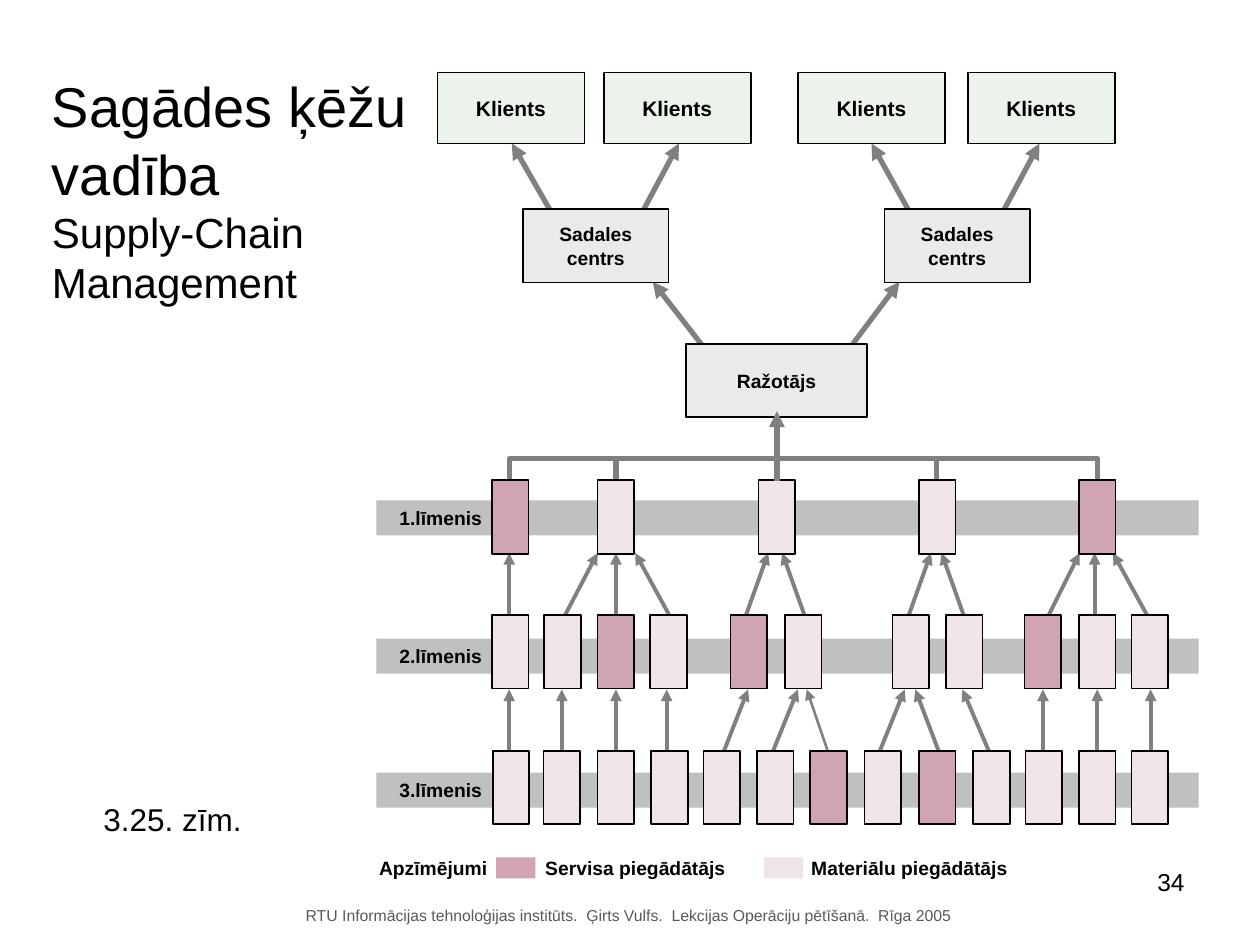
from lxml.etree import SubElement
from pptx import Presentation
from pptx.dml.color import RGBColor
from pptx.enum.shapes import MSO_CONNECTOR, MSO_SHAPE
from pptx.enum.text import MSO_ANCHOR, PP_ALIGN
from pptx.oxml.ns import qn
from pptx.util import Pt

COLORS = {
    "ink": "000000", "footer": "595959", "flow": "808080", "band": "C0C0C0",
    "client": "ECF3EA", "plant": "EAEAEA", "service": "D0A4B1", "material": "EFE4E7",
}
FRAME = {
    "word_wrap": True, "margin_left": Pt(7.2), "margin_right": Pt(7.2),
    "margin_top": Pt(3.6), "margin_bottom": Pt(3.6),
}
LABEL = {"name": "Arial", "size": Pt(11), "bold": True}
CLIENT = {**LABEL, "size": Pt(12)}
TITLE = {"name": "Arial", "size": Pt(32), "bold": False}
SUBTITLE = {**TITLE, "size": Pt(24)}
CAPTION = {**TITLE, "size": Pt(18)}
NUMBER = {**TITLE, "size": Pt(14)}
FOOTER = {**TITLE, "size": Pt(9)}

SUPPLIER_SIZE = (21, 42)
TIERS = [
    ("1.līmenis", 286, 274.5, [281, 341.5, 433.5, 525, 616.5], {0, 4}),
    ("2.līmenis", 365, 351.5,
     [281, 311, 341.5, 371.5, 417.5, 448.5, 510, 540.5, 585.5, 616.5, 646.5], {2, 4, 8}),
    ("3.līmenis", 441.5, 429,
     [281.5, 310.5, 341.5, 372, 402, 432.5, 463, 494, 525, 556, 586, 616.5, 646.5], {6, 8}),
]
SUPPLY_FLOWS = [
    (436, 394, [(291, 291), (321, 321), (352, 352), (381, 381), (411, 427.5), (439, 456),
                (500, 517), (539, 523), (568, 550), (596, 596), (627, 627), (657.5, 657.5)]),
    (358, 316, [(291, 291), (319.5, 341.5), (352, 352), (386, 363), (424, 439), (462, 447),
                (517, 532), (553, 538), (596, 617), (625.5, 625.5), (659, 636)]),
]
DELIVERY_FLOWS = [
    ((408, 206), (373, 161)), ((481, 205), (514, 161)),
    ((316, 123), (292.5, 82)), ((364.5, 126), (388, 82)),
    ((523, 127), (498, 82)), ((571, 125), (594, 82)),
]
LEGEND = [
    ("service", 283.5, "Servisa piegādātājs", 304.5),
    ("material", 436.5, "Materiālu piegādātājs", 456.5),
]


def rgb(color):
    """Return the named colour."""
    return RGBColor.from_string(COLORS[color])


def apply_format(target, values):
    """Set each format value on the target."""
    for key, value in values.items():
        setattr(target, key, value)


def write_lines(frame, lines, anchor=MSO_ANCHOR.MIDDLE, align=PP_ALIGN.LEFT, color="ink"):
    """Fill a text frame with one paragraph per (wording, font format) line."""
    apply_format(frame, {**FRAME, "vertical_anchor": anchor})
    for index, (wording, font_format) in enumerate(lines):
        paragraph = frame.add_paragraph() if index else frame.paragraphs[0]
        apply_format(paragraph, {"alignment": align, "space_before": Pt(0)})
        run = paragraph.add_run()
        run.text = wording
        apply_format(run.font, font_format)
        run.font.color.rgb = rgb(color)


def add_note(slide, place, wording, font_format, align=PP_ALIGN.LEFT, color="ink"):
    """Add a line of free-standing text."""
    note = slide.shapes.add_textbox(*map(Pt, place))
    write_lines(note.text_frame, [(wording, font_format)], MSO_ANCHOR.TOP, align, color)


def add_block(slide, place, color, outlined=True):
    """Add a filled rectangle."""
    block = slide.shapes.add_shape(MSO_SHAPE.RECTANGLE, *map(Pt, place))
    block.shadow.inherit = False
    block.fill.solid()
    block.fill.fore_color.rgb = rgb(color)
    if outlined:
        block.line.color.rgb = rgb("ink")
        block.line.width = Pt(1)
    else:
        block.line.fill.background()
    return block


def add_node(slide, place, color, wording, font_format):
    """Add an outlined block with centred wording."""
    node = add_block(slide, place, color)
    lines = [(line, font_format) for line in wording.split("\n")]
    write_lines(node.text_frame, lines, align=PP_ALIGN.CENTER)


def add_flow(slide, start, end, width=3, arrow=True):
    """Add a straight flow line, with an arrowhead at its end if wanted."""
    flow = slide.shapes.add_connector(MSO_CONNECTOR.STRAIGHT, *map(Pt, (*start, *end)))
    flow.line.color.rgb = rgb("flow")
    flow.line.width = Pt(width)
    if arrow:
        SubElement(flow.line._get_or_add_ln(), qn("a:tailEnd"), type="triangle")
    SubElement(flow._element.spPr, qn("a:effectLst"))


def add_collector(slide):
    """Add the bracket that joins the first tier to the manufacturer."""
    builder = slide.shapes.build_freeform(Pt(291), Pt(278))
    corners = [(291, 262), (627, 262), (627, 278)]
    builder.add_line_segments([(Pt(x), Pt(y)) for x, y in corners], close=False)
    bracket = builder.convert_to_shape()
    bracket.shadow.inherit = False
    bracket.fill.background()
    bracket.line.color.rgb = rgb("flow")
    bracket.line.width = Pt(3)
    for x in (352, 535):
        add_flow(slide, (x, 262), (x, 280), arrow=False)


def add_flows(slide):
    """Add the flows that run between the levels of the chain."""
    for bottom, top, pairs in SUPPLY_FLOWS:
        for start_x, end_x in pairs:
            add_flow(slide, (start_x, bottom), (end_x, top), 2.25)
    add_flow(slide, (476, 438), (461, 394), 1.5)
    add_collector(slide)
    for start, end in DELIVERY_FLOWS:
        add_flow(slide, start, end)


def add_tier(slide, name, band_top, top, columns, services):
    """Add a supplier tier: its band, name and suppliers."""
    band = add_block(slide, (215, band_top, 470, 20), "band", outlined=False)
    write_lines(band.text_frame, [(name, LABEL)])
    band.text_frame.margin_left = Pt(13.2)
    for index, left in enumerate(columns):
        kind = "service" if index in services else "material"
        add_block(slide, (left, top, *SUPPLIER_SIZE), kind)


def add_legend(slide):
    """Add the key to the supplier colours."""
    add_note(slide, (209.5, 486, 85, 21), "Apzīmējumi", LABEL)
    for kind, swatch_left, wording, text_left in LEGEND:
        add_block(slide, (swatch_left, 490, 22.5, 12), kind, outlined=False)
        add_note(slide, (text_left, 486, 130, 21), wording, LABEL)


def add_title(slide):
    """Place and write the slide title."""
    title = slide.shapes.title
    apply_format(title, {"left": Pt(22.5), "top": Pt(37.5), "width": Pt(235), "height": Pt(142)})
    lines = [("Sagādes ķēžu", TITLE), ("vadība", TITLE),
             ("Supply-Chain", SUBTITLE), ("Management", SUBTITLE)]
    write_lines(title.text_frame, lines, MSO_ANCHOR.TOP)


def main():
    """Build the supply chain slide."""
    deck = Presentation()
    apply_format(deck, {"slide_width": Pt(720), "slide_height": Pt(540)})
    slide = deck.slides.add_slide(deck.slide_layouts[5])
    add_title(slide)
    add_flows(slide)
    for tier in TIERS:
        add_tier(slide, *tier)
    for left in (250, 345, 456, 553):
        add_node(slide, (left, 41.5, 84, 40.5), "client", "Klients", CLIENT)
    for left in (299, 505.5):
        add_node(slide, (left, 119.5, 83, 42), "plant", "Sadales\ncentrs", LABEL)
    add_node(slide, (392, 196.5, 103.5, 42), "plant", "Ražotājs", LABEL)
    add_flow(slide, (444, 275), (444, 235))
    add_legend(slide)
    add_note(slide, (52, 453.5, 100, 29), "3.25. zīm.", CAPTION)
    add_note(slide, (626.5, 492, 57.5, 37.5), "34", NUMBER, PP_ALIGN.RIGHT)
    add_note(slide, (149, 514, 420, 18),
             "RTU Informācijas tehnoloģijas institūts.  Ģirts Vulfs.  "
             "Lekcijas Operāciju pētīšanā.  Rīga 2005", FOOTER, PP_ALIGN.CENTER, "footer")
    deck.save("out.pptx")


if __name__ == "__main__":
    main()
